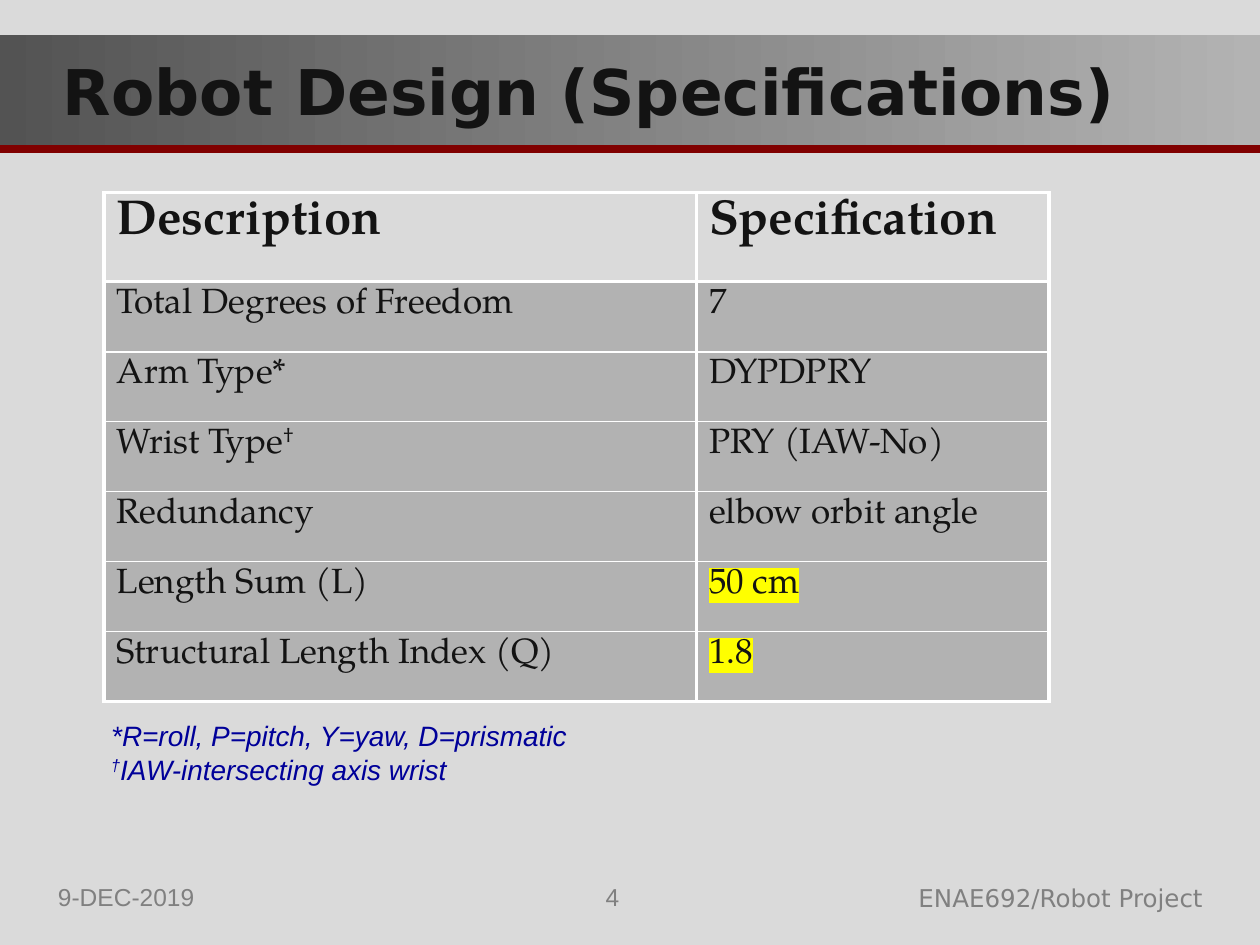
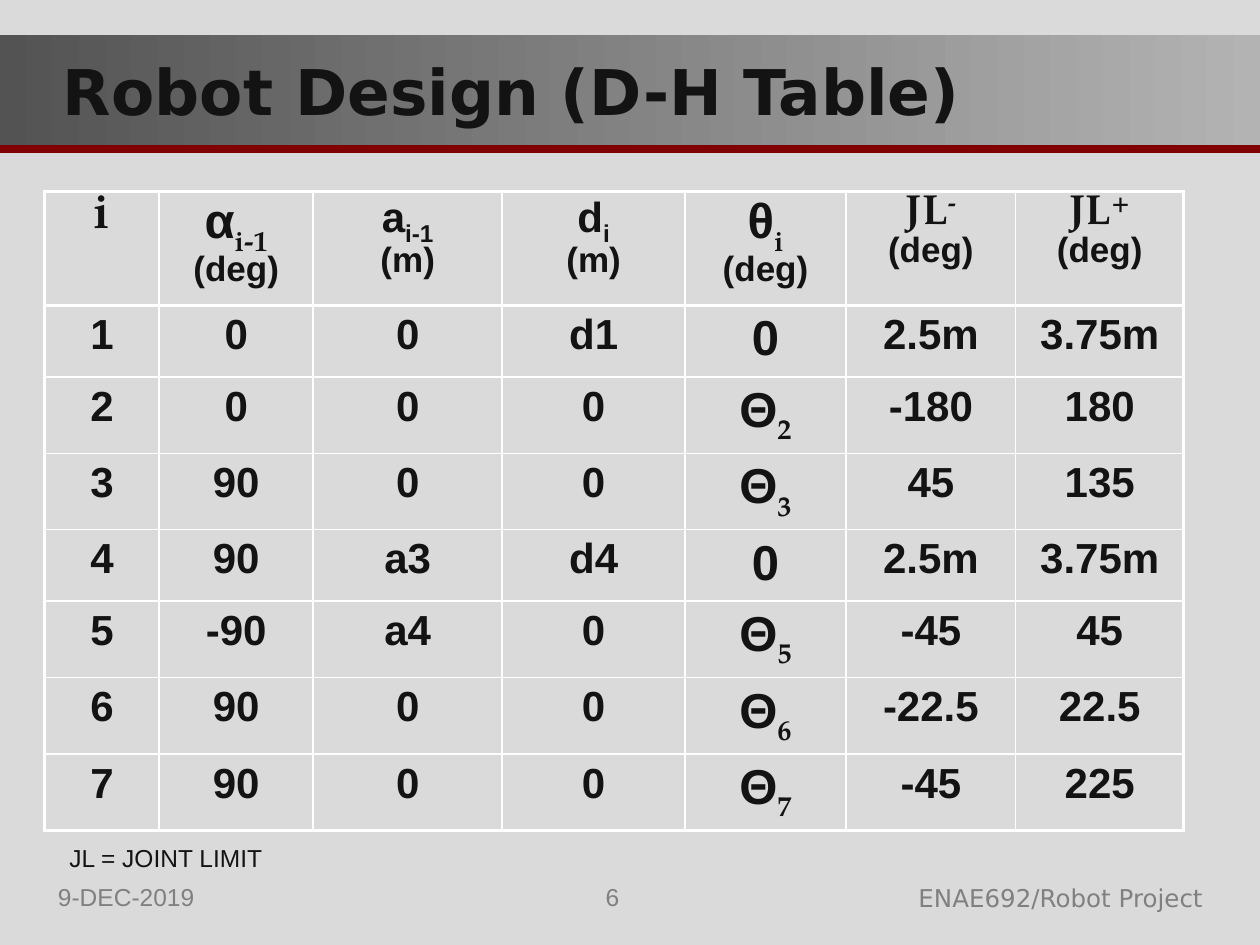
from dataclasses import dataclass

from lxml import etree
from pptx import Presentation
from pptx.dml.color import RGBColor
from pptx.enum.shapes import MSO_CONNECTOR, MSO_SHAPE
from pptx.enum.text import MSO_ANCHOR, PP_ALIGN
from pptx.oxml.ns import qn
from pptx.util import Pt

RECTANGLE = MSO_SHAPE.RECTANGLE
STRAIGHT = MSO_CONNECTOR.STRAIGHT
MIDDLE = MSO_ANCHOR.MIDDLE
LEFT, CENTER, RIGHT = PP_ALIGN.LEFT, PP_ALIGN.CENTER, PP_ALIGN.RIGHT

# Shared look
BACKGROUND, INK, WHITE = "DADADA", "131313", "FFFFFF"
BAND_DARK, BAND_LIGHT, RULE_RED = "535353", "B3B3B3", "800000"
FOOTER_GREY, NOTE_BLUE, ROW_GREY, MARKER = "808080", "000099", "B2B2B2", "FFFF00"
SANS, TITLE_FONT, SERIF = "Arial", "DejaVu Sans", "TeX Gyre Pagella"
THICK, THIN = 2.25, 1
SUPERSCRIPT, SUBSCRIPT = 30, -25


@dataclass
class Style:
    size: float
    font: str = SANS
    color: str = INK
    bold: bool = False
    italic: bool = False
    align: PP_ALIGN = LEFT


@dataclass
class Run:
    text: str
    font: str = ""
    baseline: int = 0
    highlight: str = ""


def rgb(value):
    return RGBColor.from_string(value)


def write_paragraph(paragraph, runs, style):
    """Write a string or a list of runs in one style."""
    paragraph.alignment = style.align
    font = paragraph.font
    font.size, font.name = Pt(style.size), style.font
    font.bold, font.italic = style.bold, style.italic
    font.color.rgb = rgb(style.color)
    for part in [Run(runs)] if isinstance(runs, str) else runs:
        run = paragraph.add_run()
        run.text = part.text
        properties = run._r.get_or_add_rPr()
        if part.baseline:
            properties.set("baseline", str(part.baseline * 1000))
        if part.highlight:
            highlight = etree.SubElement(properties, qn("a:highlight"))
            etree.SubElement(highlight, qn("a:srgbClr"), val=part.highlight)
        if part.font:
            run.font.name = part.font


def add_text(slide, box, lines, style, wrap=True):
    frame = slide.shapes.add_textbox(*map(Pt, box)).text_frame
    frame.word_wrap = wrap
    for index, line in enumerate(lines):
        paragraph = frame.add_paragraph() if index else frame.paragraphs[0]
        write_paragraph(paragraph, line, style)


def add_title_band(slide, box, title):
    left, top, width, height = box
    # Red rule just under the band
    rule_y = Pt(top + height + 2)
    rule = slide.shapes.add_connector(STRAIGHT, Pt(left), rule_y, Pt(left + width), rule_y)
    rule.line.color.rgb = rgb(RULE_RED)
    rule.line.width = Pt(4.5)
    etree.SubElement(rule._element.spPr, qn("a:effectLst"))
    # Gradient band with the title
    band = slide.shapes.add_shape(RECTANGLE, *map(Pt, box))
    band.shadow.inherit = False
    band.line.fill.background()
    band.fill.gradient()
    band.fill.gradient_angle = 0
    for stop, color in zip(band.fill.gradient_stops, (BAND_DARK, BAND_LIGHT)):
        stop.color.rgb = rgb(color)
    frame = band.text_frame
    frame.margin_left = Pt(36)
    frame.vertical_anchor = MIDDLE
    write_paragraph(frame.paragraphs[0], title, Style(36, TITLE_FONT, bold=True))


def add_footer(slide, box, number):
    left, top, width, height = box
    add_text(slide, (left, top, 168, height), ["9-DEC-2019"], Style(14, color=FOOTER_GREY))
    add_text(slide, (left + width - 236, top + 0.5, 236, height), ["ENAE692/Robot Project"],
             Style(14, TITLE_FONT, FOOTER_GREY, align=RIGHT))
    add_text(slide, (left + 263.5, top, 121, height), [str(number)],
             Style(14, color=FOOTER_GREY, align=CENTER))


def add_slide(presentation, title, number):
    slide = presentation.slides.add_slide(presentation.slide_layouts[6])
    slide.background.fill.solid()
    slide.background.fill.fore_color.rgb = rgb(BACKGROUND)
    add_title_band(slide, (0, 20, 720, 63), title)
    add_footer(slide, (26, 500.5, 668.5, 29), number)
    return slide


def add_grid(slide, box, column_widths, row_heights, inner_vertical):
    """Add a table with thick outer and header lines and thin row lines."""
    rows, columns = len(row_heights), len(column_widths)
    table = slide.shapes.add_table(rows, columns, *map(Pt, box)).table
    table.first_row = table.horz_banding = False
    for column, width in zip(table.columns, column_widths):
        column.width = Pt(width)
    for row, height in zip(table.rows, row_heights):
        row.height = Pt(height)
    for r in range(rows):
        for c in range(columns):
            cell = table.cell(r, c)
            set_borders(cell, {
                "L": THICK if c == 0 else inner_vertical,
                "R": THICK if c == columns - 1 else inner_vertical,
                "T": THICK if r < 2 else THIN,
                "B": THICK if r in (0, rows - 1) else THIN,
            })
            cell.fill.background()
    return table


def set_borders(cell, widths):
    properties = cell._tc.get_or_add_tcPr()
    for side, width in widths.items():
        line = etree.SubElement(properties, qn(f"a:ln{side}"), w=str(Pt(width)))
        fill = etree.SubElement(line, qn("a:solidFill"))
        etree.SubElement(fill, qn("a:srgbClr"), val=WHITE)


def add_specification_table(slide, box):
    rows = [
        ("Description", "Specification"),
        ("Total Degrees of Freedom", "7"),
        ("Arm Type*", "DYPDPRY"),
        ([Run("Wrist Type"), Run("†", baseline=SUPERSCRIPT)], "PRY (IAW-No)"),
        ("Redundancy", "elbow orbit angle"),
        ("Length Sum (L)", [Run("50 cm", highlight=MARKER)]),
        ("Structural Length Index (Q)", [Run("1.8", highlight=MARKER)]),
    ]
    table = add_grid(slide, box, (338.5, 201.5), [51] + [40] * 6, THICK)
    for r, row in enumerate(rows):
        style = Style(20, SERIF) if r else Style(28, SERIF, bold=True)
        for c, content in enumerate(row):
            cell = table.cell(r, c)
            write_paragraph(cell.text_frame.paragraphs[0], content, style)
            if r:
                cell.fill.solid()
                cell.fill.fore_color.rgb = rgb(ROW_GREY)


def subscripted(symbol, index, font=""):
    return [Run(symbol), Run(index, font, SUBSCRIPT)]


def add_dh_table(slide, box):
    # Header: symbol, size, font, unit
    headers = [
        ("i", 28, SERIF, ""),
        (subscripted("α", "i-1", SERIF), 28, SANS, "(deg)"),
        (subscripted("a", "i-1"), 24, SANS, "(m)"),
        (subscripted("d", "i"), 24, SANS, "(m)"),
        (subscripted("θ", "i", SERIF), 28, SANS, "(deg)"),
        ([Run("JL"), Run("-", baseline=SUPERSCRIPT)], 24, SERIF, "(deg)"),
        ([Run("JL"), Run("+", baseline=SUPERSCRIPT)], 24, SERIF, "(deg)"),
    ]
    joints = [
        ("0", "0", "d1", "0", "2.5m", "3.75m"),
        ("0", "0", "0", "Θ", "-180", "180"),
        ("90", "0", "0", "Θ", "45", "135"),
        ("90", "a3", "d4", "0", "2.5m", "3.75m"),
        ("-90", "a4", "0", "Θ", "-45", "45"),
        ("90", "0", "0", "Θ", "-22.5", "22.5"),
        ("90", "0", "0", "Θ", "-45", "225"),
    ]
    theta_column = 4
    table = add_grid(slide, box, (65.5, 88, 108, 104.5, 92, 97, 96),
                     [65] + [40.75] * len(joints), THIN)
    for c, (symbol, size, font, unit) in enumerate(headers):
        frame = table.cell(0, c).text_frame
        write_paragraph(frame.paragraphs[0], symbol, Style(size, font, bold=True, align=CENTER))
        if unit:
            paragraph = frame.add_paragraph()
            write_paragraph(paragraph, unit, Style(20, bold=True, align=CENTER))
            paragraph.space_before = Pt(4)
        for paragraph in frame.paragraphs:
            paragraph.line_spacing = 0.8
    for r, values in enumerate(joints, start=1):
        for c, value in enumerate((str(r),) + values):
            cell = table.cell(r, c)
            content = value
            if value == "Θ":
                content = subscripted(value, str(r), SERIF)
                cell.margin_bottom = Pt(1.8)  # keeps the subscript from stretching the row
            size = 28 if c == theta_column else 24
            write_paragraph(cell.text_frame.paragraphs[0], content,
                            Style(size, bold=True, align=CENTER))


def build_specifications(presentation):
    slide = add_slide(presentation, "Robot Design (Specifications)", 4)
    add_specification_table(slide, (59.5, 110, 540, 291))
    add_text(slide, (56.5, 407, 277, 46), [
        "*R=roll, P=pitch, Y=yaw, D=prismatic",
        [Run("†", baseline=SUPERSCRIPT), Run("IAW-intersecting axis wrist")],
    ], Style(16, color=NOTE_BLUE, italic=True), wrap=False)


def build_dh_table(presentation):
    slide = add_slide(presentation, "Robot Design (D-H Table)", 6)
    add_dh_table(slide, (25.5, 109.5, 651, 350.25))
    add_text(slide, (32.5, 478, 125, 24), ["JL = JOINT LIMIT"], Style(14), wrap=False)


def main():
    presentation = Presentation()
    presentation.slide_width, presentation.slide_height = Pt(720), Pt(540)
    build_specifications(presentation)
    build_dh_table(presentation)
    presentation.save("out.pptx")


if __name__ == "__main__":
    main()
